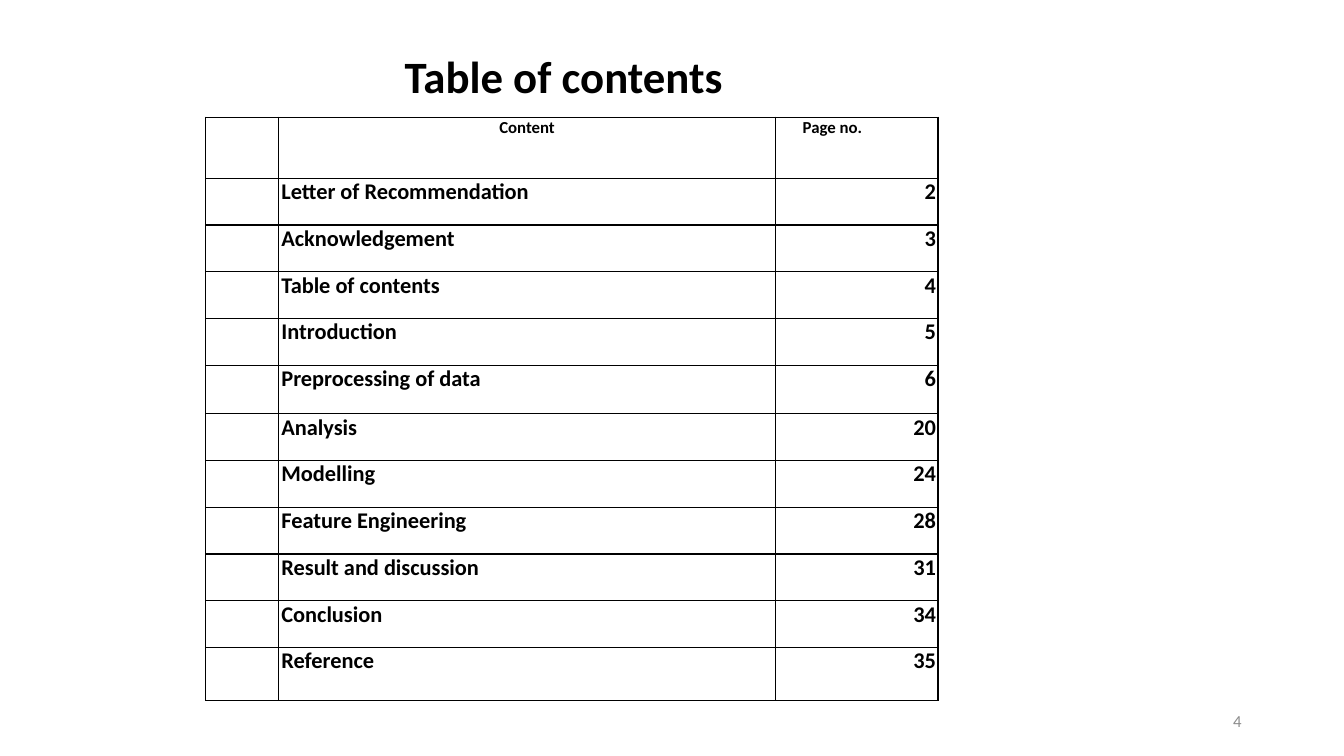
"""Build the table of contents slide."""
import dataclasses

import lxml.etree
import pptx
import pptx.dml.color
import pptx.enum.text
import pptx.oxml.ns
import pptx.util

Pt = pptx.util.Pt
ALIGN = pptx.enum.text.PP_ALIGN
ANCHOR = pptx.enum.text.MSO_ANCHOR


@dataclasses.dataclass(frozen=True)
class Theme:
    font: str = "Calibri"
    ink: str = "000000"
    muted: str = "8C8C8C"
    title: float = 32
    body: float = 16
    small: float = 12
    border: float = 1


THEME = Theme()
ENTRIES = [
    ("Letter of Recommendation", "2"),
    ("Acknowledgement", "3"),
    ("Table of contents", "4"),
    ("Introduction", "5"),
    ("Preprocessing of data", "6"),
    ("Analysis", "20"),
    ("Modelling", "24"),
    ("Feature Engineering", "28"),
    ("Result and discussion", "31"),
    ("Conclusion", "34"),
    ("Reference", "35"),
]
COL_WIDTHS = [52, 355, 116]
ROW_HEIGHTS = [43.6] + [33.4] * 4 + [34.6] + [33.4] * 5 + [37.6]


def set_all(obj, values):
    for name, value in values.items():
        setattr(obj, name, value)


def write(tf, text, size, color=THEME.ink, bold=True, indent=0, **para):
    p = tf.paragraphs[0]
    set_all(p, para)
    if indent:
        p._p.get_or_add_pPr().set("marL", str(Pt(indent)))
    r = p.add_run()
    r.text = text
    set_all(r.font, {"name": THEME.font, "size": Pt(size), "bold": bold})
    r.font.color.rgb = pptx.dml.color.RGBColor.from_string(color)


def add_label(s, box, text, size, **style):
    tf = s.shapes.add_textbox(*map(Pt, box)).text_frame
    set_all(tf, {"word_wrap": True, "vertical_anchor": ANCHOR.MIDDLE})
    write(tf, text, size, **style)


def add_borders(cell):
    qn = pptx.oxml.ns.qn
    tc_pr = cell._tc.get_or_add_tcPr()
    for side in ("a:lnL", "a:lnR", "a:lnT", "a:lnB"):
        ln = lxml.etree.SubElement(tc_pr, qn(side), w=str(Pt(THEME.border)))
        fill = lxml.etree.SubElement(ln, qn("a:solidFill"))
        lxml.etree.SubElement(fill, qn("a:srgbClr"), val=THEME.ink)


def fill_cell(cell, text, size, margin_right=0, **style):
    set_all(cell, {"margin_left": 0, "margin_top": 0, "margin_bottom": 0,
                   "margin_right": Pt(margin_right)})
    write(cell.text_frame, text, size, space_before=Pt(2.5), **style)


def add_contents(s, left, top):
    table = s.shapes.add_table(
        len(ROW_HEIGHTS), len(COL_WIDTHS), Pt(left), Pt(top),
        Pt(sum(COL_WIDTHS)), Pt(sum(ROW_HEIGHTS))).table
    set_all(table, {"first_row": False, "horz_banding": False})
    for col, width in zip(table.columns, COL_WIDTHS):
        col.width = Pt(width)
    for row, height in zip(table.rows, ROW_HEIGHTS):
        row.height = Pt(height)
    for cell in table.iter_cells():
        add_borders(cell)
        cell.fill.background()
    fill_cell(table.cell(0, 1), "Content", THEME.small, alignment=ALIGN.CENTER)
    fill_cell(table.cell(0, 2), "Page no.", THEME.small, indent=19.4)
    for i, (heading, page) in enumerate(ENTRIES, start=1):
        fill_cell(table.cell(i, 1), heading, THEME.body, indent=2)
        fill_cell(table.cell(i, 2), page, THEME.body, margin_right=1.5,
                  alignment=ALIGN.RIGHT)


def main():
    prs = pptx.Presentation()
    set_all(prs, {"slide_width": Pt(960), "slide_height": Pt(540)})
    s = prs.slides.add_slide(prs.slide_layouts[6])
    add_label(s, (66, 29, 828, 55), "Table of contents", THEME.title,
              indent=216, line_spacing=0.9)
    add_contents(s, 147, 83.8)
    add_label(s, (678, 500.5, 216, 28.8), "4", THEME.small, color=THEME.muted,
              bold=False, alignment=ALIGN.RIGHT)
    prs.save("out.pptx")


if __name__ == "__main__":
    main()
